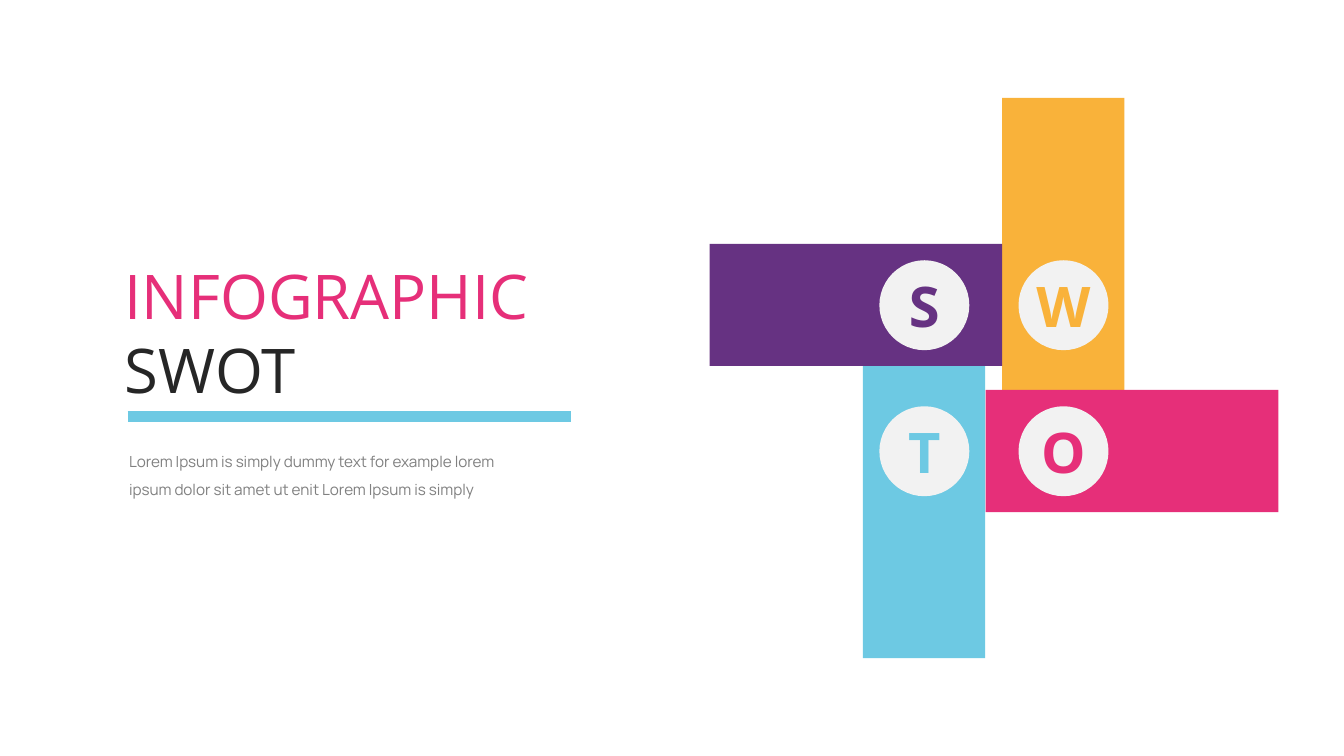
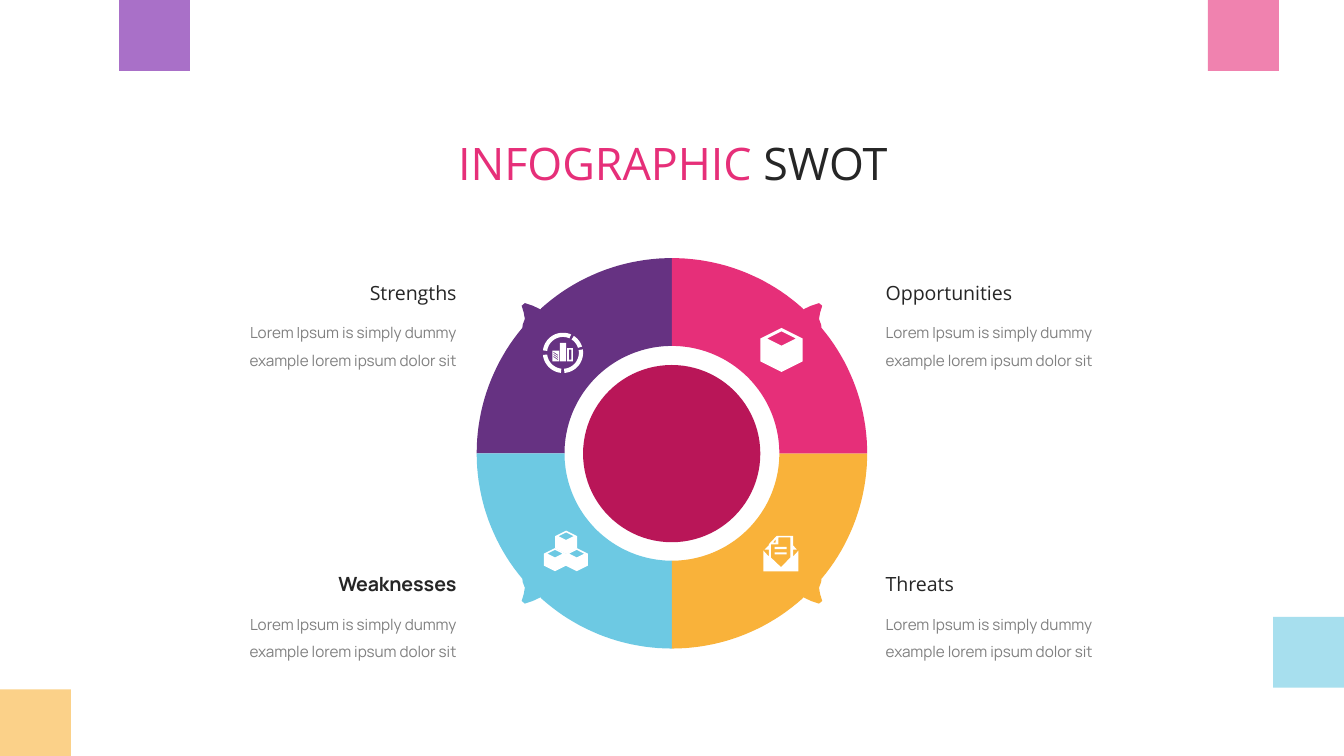
"""Build a two-slide SWOT infographic deck."""
import math
from dataclasses import dataclass

import lxml.etree
import pptx
import pptx.dml.color
import pptx.enum.shapes
import pptx.enum.text
import pptx.oxml.ns
import pptx.util

Cm = pptx.util.Cm
ALIGN = pptx.enum.text.PP_ALIGN
SHAPE = pptx.enum.shapes.MSO_SHAPE


@dataclass(frozen=True)
class Theme:
    purple: str = "663282"
    orange: str = "F9B23A"
    pink: str = "E62F79"
    blue: str = "6DC9E3"
    crimson: str = "B91658"
    light_purple: str = "A970C8"
    light_orange: str = "FBD189"
    light_pink: str = "F082AF"
    light_blue: str = "A7DFEE"
    pale: str = "F2F2F2"
    white: str = "FFFFFF"
    ink: str = "262626"
    grey: str = "808080"
    head_font: str = "Open Sans"
    body_font: str = "Manrope"
    cover_size: float = 33
    letter_size: float = 30
    title_size: float = 24
    label_size: float = 10.5
    body_size: float = 8.2


theme = Theme()


def paint(sp, color):
    sp.shadow.inherit = False
    sp.fill.solid()
    sp.fill.fore_color.rgb = pptx.dml.color.RGBColor.from_string(color)
    sp.line.fill.background()
    return sp


def add_text(slide, box, runs, size, font, align=ALIGN.LEFT, spacing=None, bold=False):
    tf = slide.shapes.add_textbox(*map(Cm, box)).text_frame
    tf.word_wrap = True
    tf.auto_size = pptx.enum.text.MSO_AUTO_SIZE.SHAPE_TO_FIT_TEXT
    tf.margin_left = tf.margin_right = Cm(0.23)
    tf.margin_top = tf.margin_bottom = Cm(0.1)
    p = tf.paragraphs[0]
    p.alignment = align
    p.line_spacing = spacing
    for text, color in runs:
        r = p.add_run()
        r.text = text
        r.font.size = pptx.util.Pt(size)
        r.font.name = font
        r.font.bold = bold
        r.font.color.rgb = pptx.dml.color.RGBColor.from_string(color)


prs = pptx.Presentation()
prs.slide_width, prs.slide_height = Cm(25.4), Cm(14.29)
blank = prs.slide_layouts[6]
title = [("INFOGRAPHIC", theme.pink), (" SWOT", theme.ink)]

slide = prs.slides.add_slide(blank)
add_text(slide, (2.13, 4.78, 10.24, 3.07), title, theme.cover_size, theme.head_font)
rule = slide.shapes.add_connector(
    pptx.enum.shapes.MSO_CONNECTOR.STRAIGHT, Cm(2.41), Cm(7.87), Cm(10.8), Cm(7.87))
rule.line.width = pptx.util.Pt(6)
rule.line.color.rgb = pptx.dml.color.RGBColor.from_string(theme.blue)
lxml.etree.SubElement(rule._element.spPr, pptx.oxml.ns.qn("a:effectLst"))
intro = ("Lorem Ipsum\u00a0is simply dummy text for example lorem ipsum dolor sit amet "
         "ut enit Lorem Ipsum\u00a0is simply")
add_text(slide, (2.21, 8.28, 8.1, 1.27), [(intro, theme.grey)],
         theme.body_size, theme.body_font, spacing=1.5)

long, short, dot = 5.53, 2.31, 1.7
left, right, top, bottom = 16.62, 19.25, 4.92, 7.68
arms = [
    ("W", theme.orange, (18.94, 1.85, short, long), (right, top)),
    ("O", theme.pink, (18.63, 7.37, long, short), (right, bottom)),
    ("T", theme.blue, (16.31, 6.91, short, long), (left, bottom)),
    ("S", theme.purple, (13.41, 4.61, long, short), (left, top)),
]
for letter, color, bar, corner in arms:
    paint(slide.shapes.add_shape(SHAPE.RECTANGLE, *map(Cm, bar)), color)
for letter, color, bar, corner in arms:
    sp = paint(slide.shapes.add_shape(SHAPE.OVAL, *map(Cm, (*corner, dot, dot))), theme.pale)
    tf = sp.text_frame
    tf.margin_left = tf.margin_right = tf.margin_top = tf.margin_bottom = 0
    tf.vertical_anchor = pptx.enum.text.MSO_ANCHOR.MIDDLE
    tf.word_wrap = False
    tf.text = letter
    p = tf.paragraphs[0]
    p.alignment = ALIGN.CENTER
    font = p.runs[0].font
    font.size, font.name, font.bold = pptx.util.Pt(theme.letter_size), theme.head_font, True
    font.color.rgb = pptx.dml.color.RGBColor.from_string(color)

slide = prs.slides.add_slide(blank)
for x, y, color in [(0, 13.03, theme.light_orange), (22.83, 0, theme.light_pink),
                    (24.06, 11.66, theme.light_blue), (2.25, 0, theme.light_purple)]:
    paint(slide.shapes.add_shape(SHAPE.RECTANGLE, *map(Cm, (x, y, 1.34, 1.34))), color)
add_text(slide, (7.14, 2.46, 11.15, 1.27), title, theme.title_size, theme.head_font, ALIGN.CENTER)

summary = "Lorem Ipsum\u00a0is simply dummy example lorem ipsum dolor sit"
for label, x, y, align, font, bold in [
    ("Strengths", 3.73, 5.21, ALIGN.RIGHT, theme.head_font, False),
    ("Weaknesses", 3.73, 10.72, ALIGN.RIGHT, theme.body_font, True),
    ("Opportunities", 16.51, 5.21, ALIGN.LEFT, theme.head_font, False),
    ("Threats", 16.51, 10.72, ALIGN.LEFT, theme.head_font, False),
]:
    add_text(slide, (x, y, 5.13, 0.71), [(label, theme.ink)],
             theme.label_size, font, align, bold=bold)
    add_text(slide, (x, y + 0.63, 5.13, 1.27), [(summary, theme.grey)],
             theme.body_size, theme.body_font, align, 1.5)

outlines = []
cx, cy, outer, inner = 12.7, 8.57, 3.69, 2.03
tab = [(2.48, 2.72), (2.63, 2.79), (2.78, 2.84), (2.84, 2.79),
       (2.8, 2.66), (2.78, 2.54), (2.82, 2.43)]
before, after, back = [
    [(r * math.sin(math.radians(a)), r * math.cos(math.radians(a))) for a in angles]
    for r, angles in [(outer, range(0, 43, 2)), (outer, range(50, 91, 2)),
                      (inner, range(90, -1, -2))]]
for sx, sy, color in [(-1, -1, theme.purple), (-1, 1, theme.blue),
                      (1, 1, theme.orange), (1, -1, theme.pink)]:
    quarter = [(cx + sx * x, cy + sy * y) for x, y in before + tab + after + back]
    outlines.append((color, [quarter]))

for start, end in [(-83, 24), (33, 72), (80, 176), (186, 264)]:
    angles = [math.radians(start + (end - start) * i / 20) for i in range(21)]
    segment = [(10.64 + r * math.sin(a), 6.67 - r * math.cos(a))
               for r, sweep in ((0.38, angles), (0.3, angles[::-1])) for a in sweep]
    outlines.append((theme.white, [segment]))

bars = [[(l, t), (r, t), (r, b), (l, b)] for l, t, r, b in [
    (10.44, 6.63, 10.57, 6.83), (10.58, 6.48, 10.7, 6.83),
    (10.72, 6.58, 10.83, 6.83), (10.75, 6.61, 10.8, 6.8)]]
stripes = [[(10.46, y), (10.55, y + 0.06), (10.55, y + 0.08), (10.46, y + 0.02)]
           for y in (6.65, 6.69, 6.73)]
outlines.append((theme.white, bars + stripes))

for x, y, w in [(14.77, 6.2, 0.4), (10.7, 10.03, 0.21), (10.49, 10.36, 0.21), (10.9, 10.36, 0.21)]:
    box = [(0, 0), (1, 0.5), (1, 1.58), (0, 2.08), (-1, 1.58), (-1, 0.5)]
    lid = [(0, 0.16), (0.68, 0.5), (0, 0.84), (-0.68, 0.5)]
    outlines.append((theme.white, [[(x + w * u, y + w * v) for u, v in ring]
                                   for ring in (box, lid)]))

envelope = [(14.68, 10.13), (14.99, 10.13), (14.99, 10.31), (15.06, 10.39), (14.99, 10.39),
            (14.99, 10.52), (15.09, 10.41), (15.09, 10.8), (14.43, 10.8), (14.43, 10.41),
            (14.53, 10.52), (14.53, 10.39), (14.45, 10.39), (14.53, 10.31), (14.53, 10.29)]
sheet = [(14.71, 10.16), (14.71, 10.29), (14.57, 10.29), (14.57, 10.54),
         (14.76, 10.72), (14.94, 10.54), (14.94, 10.16)]
fold = [(14.66, 10.19), (14.61, 10.26), (14.66, 10.26)]
outlines.append((theme.white, [envelope, sheet, fold]))

for color, contours in outlines:
    rings = [[(Cm(x), Cm(y)) for x, y in contour] for contour in contours]
    builder = slide.shapes.build_freeform(*rings[0][0])
    builder.add_line_segments(rings[0][1:], close=True)
    for ring in rings[1:]:
        builder.move_to(*ring[0])
        builder.add_line_segments(ring[1:], close=True)
    paint(builder.convert_to_shape(), color)

paint(slide.shapes.add_shape(SHAPE.OVAL, *map(Cm, (11.02, 6.9, 3.35, 3.35))), theme.crimson)
for y in (10.34, 10.44):
    paint(slide.shapes.add_shape(SHAPE.RECTANGLE, *map(Cm, (14.64, y, 0.23, 0.04))), theme.white)

prs.save("out.pptx")
